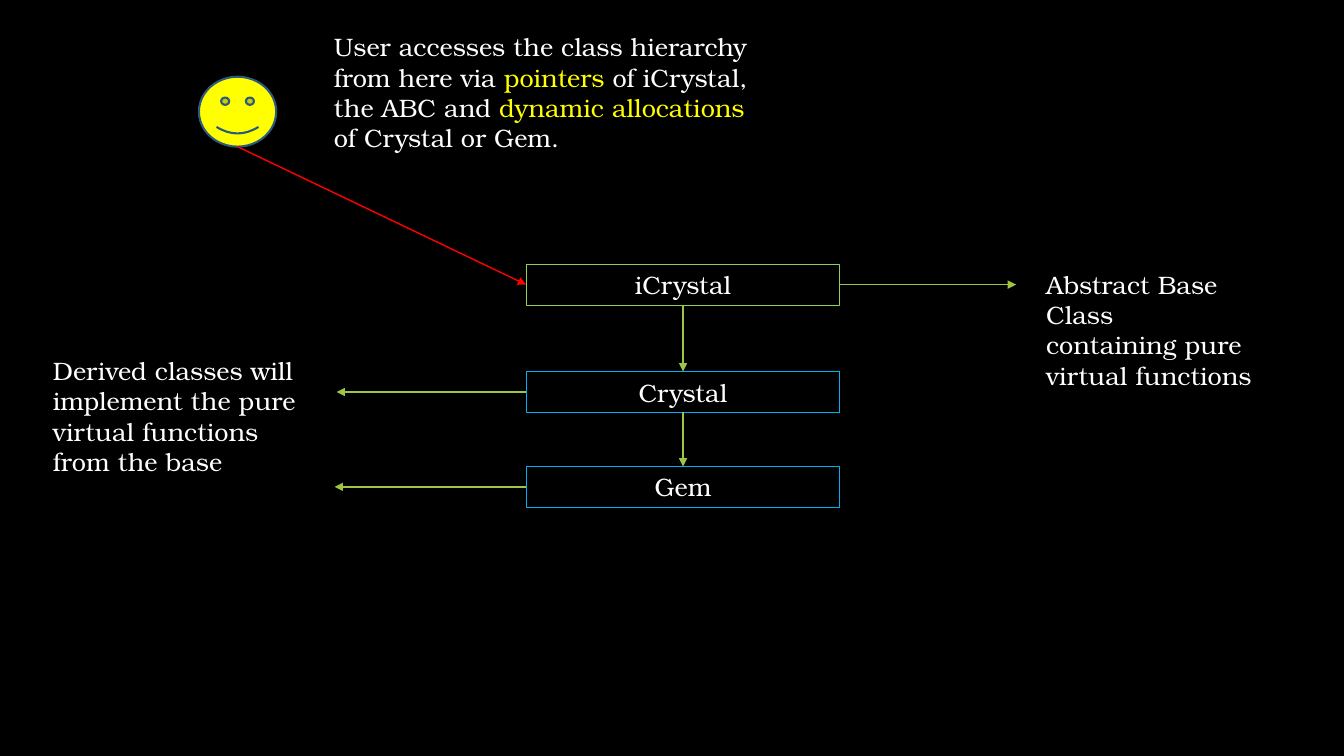
from typing import NamedTuple, Optional

from pptx import Presentation
from pptx.dml.color import RGBColor
from pptx.enum.shapes import MSO_CONNECTOR, MSO_SHAPE
from pptx.enum.text import MSO_ANCHOR, PP_ALIGN
from pptx.oxml.ns import qn
from pptx.util import Inches, Pt
from lxml.etree import SubElement

FONT = "TeX Gyre Bonum"
WHITE, YELLOW, GREEN, RED = "FFFFFF", "FFFF00", "9EC544", "FF0000"
TOP, LEFT, BOTTOM, RIGHT = range(4)

prs = Presentation()
prs.slide_width, prs.slide_height = Inches(13.33), Inches(7.5)
s = prs.slides.add_slide(prs.slide_layouts[6])


class Area(NamedTuple):
    x: float
    y: float
    w: float
    h: float


class Run(NamedTuple):
    text: str
    color: str = WHITE


class Note(NamedTuple):
    area: Area
    paragraphs: list[list[Run]]


class ClassBox(NamedTuple):
    name: str
    y: float
    line: str


def col(percent: float) -> int:
    return round(prs.slide_width * percent / 100)


def row(percent: float) -> int:
    return round(prs.slide_height * percent / 100)


def place(area: Area) -> tuple[int, int, int, int]:
    return col(area.x), row(area.y), col(area.w), row(area.h)


def paint(target, color: str) -> None:
    target.solid()
    target.fore_color.rgb = RGBColor.from_string(color)


def write(tf, paragraphs: list[list[Run]], align=PP_ALIGN.LEFT) -> None:
    tf.word_wrap = True
    for i, runs in enumerate(paragraphs):
        p = tf.add_paragraph() if i else tf.paragraphs[0]
        p.alignment = align
        p.font.name, p.font.size = FONT, Pt(18)
        for run in runs:
            r = p.add_run()
            r.text = run.text
            paint(r.font.fill, run.color)


def add_outlined(kind, area: Area, line: str, width: float, fill: Optional[str] = None):
    sp = s.shapes.add_shape(kind, *place(area))
    sp.shadow.inherit = False
    if fill:
        paint(sp.fill, fill)
    else:
        sp.fill.background()
    paint(sp.line.fill, line)
    sp.line.width = Pt(width)
    return sp


def add_class(box: ClassBox):
    sp = add_outlined(MSO_SHAPE.RECTANGLE, Area(39.15, box.y, 23.35, 5.4), box.line, 0.75)
    sp.text_frame.vertical_anchor = MSO_ANCHOR.MIDDLE
    write(sp.text_frame, [[Run(box.name)]], PP_ALIGN.CENTER)
    return sp


def add_note(note: Note) -> None:
    write(s.shapes.add_textbox(*place(note.area)).text_frame, note.paragraphs)


def side(sp, site: int) -> tuple[int, int]:
    dx, dy = {TOP: (1, 0), LEFT: (0, 1), BOTTOM: (1, 2), RIGHT: (2, 1)}[site]
    return sp.left + sp.width * dx // 2, sp.top + sp.height * dy // 2


def add_arrow(start: tuple[int, int], end: tuple[int, int], color: str = GREEN):
    c = s.shapes.add_connector(MSO_CONNECTOR.STRAIGHT, *start, *end)
    paint(c.line.fill, color)
    c.line.width = Pt(1)
    SubElement(c.line._get_or_add_ln(), qn("a:tailEnd"), type="triangle")
    SubElement(c._element.spPr, qn("a:effectLst"))
    return c


def add_pointer(sp, site: int, x: float) -> None:
    start = side(sp, site)
    add_arrow(start, (col(x), start[1])).begin_connect(sp, site)


CLASSES = [
    ClassBox("iCrystal", 34.95, "92D050"),
    ClassBox("Crystal", 49.15, "00B0F0"),
    ClassBox("Gem", 61.7, "00B0F0"),
]
NOTES = [
    Note(Area(77.1, 34.95, 18.1, 13.5), [
        [Run("Abstract Base Class")],
        [Run("containing pure virtual functions")],
    ]),
    Note(Area(3.2, 46.35, 20.1, 17.5), [
        [Run("Derived classes will implement the pure virtual functions from the base")],
    ]),
    Note(Area(24.1, 3.55, 34.05, 17.5), [[
        Run("User accesses the class hierarchy from here via "),
        Run("pointers", YELLOW),
        Run(" of iCrystal, the ABC and "),
        Run("dynamic allocations ", YELLOW),
        Run("of Crystal or Gem."),
    ]]),
]

paint(s.background.fill, "000000")
boxes = [add_class(box) for box in CLASSES]
base, crystal, gem = boxes
for parent, child in zip(boxes, boxes[1:]):
    c = add_arrow(side(parent, BOTTOM), side(child, TOP))
    c.begin_connect(parent, BOTTOM)
    c.end_connect(child, TOP)
add_pointer(base, RIGHT, 75.6)
add_pointer(crystal, LEFT, 25.05)
add_pointer(gem, LEFT, 24.9)
for note in NOTES:
    add_note(note)
user = add_outlined(MSO_SHAPE.SMILEY_FACE, Area(14.8, 10.15, 5.75, 9.25), "2A5B7F", 1.5, YELLOW)
add_arrow(side(user, BOTTOM), side(base, LEFT), RED).end_connect(base, LEFT)

prs.save("out.pptx")
